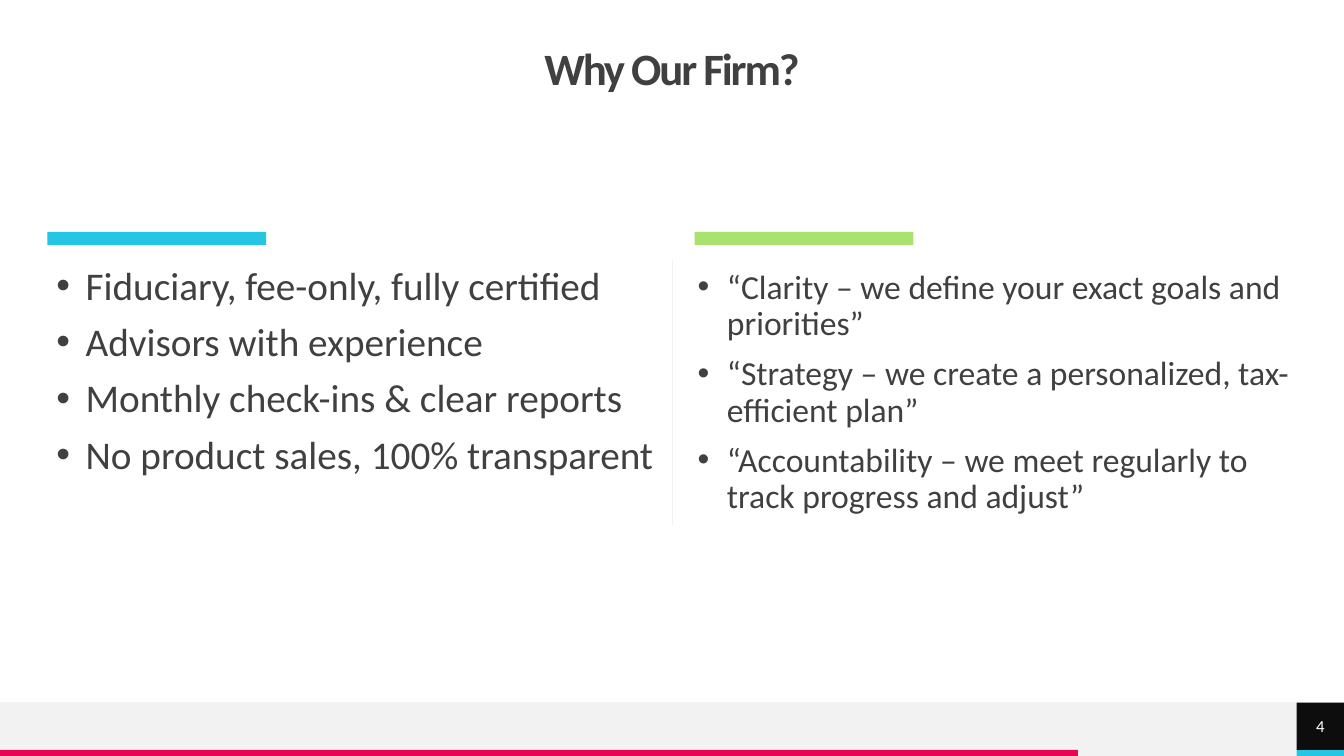
import pptx
import pptx.util
import pptx.dml.color
import pptx.enum.shapes
import pptx.enum.text
import pptx.oxml
import pptx.oxml.ns
from lxml import etree

Inches, Pt = pptx.util.Inches, pptx.util.Pt
ANCHOR, ALIGN = pptx.enum.text.MSO_ANCHOR, pptx.enum.text.PP_ALIGN

W, H = 13.33, 7.5
MARGIN = 0.47
STRIPE = 0.06
TAB_W = 2.17
FOOT_TOP = H - MARGIN - STRIPE
PINK_W = W - MARGIN - TAB_W
FONT = "Calibri"
COLORS = {"text": "404040", "white": "FFFFFF", "black": "0D0D0D", "grey": "F2F2F2",
          "pink": "E80554", "blue": "25C6E3", "green": "A9E26F"}

REASONS = ["Fiduciary, fee-only, fully certified",
           "Advisors with experience",
           "Monthly check-ins & clear reports",
           "No product sales, 100% transparent"]
PROMISES = ["“Clarity – we define your exact goals and priorities”",
            "“Strategy – we create a personalized, tax-efficient plan”",
            "“Accountability – we meet regularly to track progress and adjust”"]


def rgb(name):
    """Return the named colour."""
    return pptx.dml.color.RGBColor.from_string(COLORS[name])


def add_block(s, x, y, w, h, color):
    """Add a plain filled rectangle."""
    sp = s.shapes.add_shape(pptx.enum.shapes.MSO_SHAPE.RECTANGLE,
                            Inches(x), Inches(y), Inches(w), Inches(h))
    sp.shadow.inherit = False
    sp.fill.solid()
    sp.fill.fore_color.rgb = rgb(color)
    sp.line.fill.background()
    return sp


def add_rule(s, x1, y1, x2, y2):
    """Add a thin grey line."""
    ln = s.shapes.add_connector(pptx.enum.shapes.MSO_CONNECTOR.STRAIGHT,
                                Inches(x1), Inches(y1), Inches(x2), Inches(y2))
    ln.line.color.rgb = rgb("grey")
    ln.line.width = Pt(0.5)
    etree.SubElement(ln._element.spPr, pptx.oxml.ns.qn("a:effectLst"))


def set_frame(sp, anchor):
    """Clear the insets and autofit of a shape's text and return its frame."""
    tf = sp.text_frame
    tf.margin_left = tf.margin_right = tf.margin_top = tf.margin_bottom = 0
    tf.word_wrap = True
    tf.auto_size = pptx.enum.text.MSO_AUTO_SIZE.NONE
    tf.vertical_anchor = anchor
    return tf


def add_run(p, text, size, color, bold=False):
    """Add one formatted run to a paragraph."""
    r = p.add_run()
    r.text = text
    r.font.name = FONT
    r.font.size = Pt(size)
    r.font.bold = bold
    r.font.color.rgb = rgb(color)
    return r


def move(sp, x, y, w, h):
    """Place a shape in the given box."""
    sp.left, sp.top, sp.width, sp.height = (Inches(v) for v in (x, y, w, h))


def fill_title(sp, x, y, w, h, text):
    """Fill the title placeholder."""
    move(sp, x, y, w, h)
    p = set_frame(sp, ANCHOR.MIDDLE).paragraphs[0]
    p.alignment = ALIGN.CENTER
    p.line_spacing = 0.9
    r = add_run(p, text, 32, "text", True)
    r._r.get_or_add_rPr().set("spc", "-150")


def fill_list(sp, x, y, w, h, items, size):
    """Fill a body placeholder with a bulleted list."""
    move(sp, x, y, w, h)
    tf = set_frame(sp, ANCHOR.TOP)
    for i, item in enumerate(items):
        p = tf.add_paragraph() if i else tf.paragraphs[0]
        p.line_spacing = 0.9
        p.space_before = Pt(10)
        pPr = p._p.get_or_add_pPr()
        pPr.set("marL", str(Inches(0.29)))
        pPr.set("indent", str(-Inches(0.29)))
        etree.SubElement(pPr, pptx.oxml.ns.qn("a:buFont")).set("typeface", "Arial")
        etree.SubElement(pPr, pptx.oxml.ns.qn("a:buChar")).set("char", "•")
        add_run(p, item, size, "text")


def add_footer(s, y, number):
    """Add the footer band, its coloured stripes and the page number."""
    edge = W - MARGIN
    add_block(s, 0, y, PINK_W, MARGIN, "grey")
    add_block(s, PINK_W, y, TAB_W, MARGIN + STRIPE, "grey")
    add_block(s, 0, y + MARGIN, PINK_W, STRIPE, "pink")
    add_block(s, edge, y + MARGIN, MARGIN, STRIPE, "blue")
    add_rule(s, W, y, 0, y)
    sp = add_block(s, edge, y, MARGIN, MARGIN, "black")
    p = set_frame(sp, ANCHOR.MIDDLE).paragraphs[0]
    p.alignment = ALIGN.CENTER
    add_run(p, number, 12, "white")


def add_two_lists(prs):
    """Add the slide with a title and two lists side by side."""
    s = prs.slides.add_slide(prs.slide_layouts[3])
    title, left, right = s.placeholders
    fill_title(title, MARGIN, MARGIN, W - 2 * MARGIN, 0.47, "Why Our Firm?")
    for x, color in ((MARGIN, "blue"), (6.89, "green")):
        add_block(s, x, 2.3, TAB_W, 0.13, color)
    fill_list(left, 0.56, 2.64, 5.98, 2.4, REASONS, 28)
    fill_list(right, 6.92, 2.68, 5.98, 2.4, PROMISES, 24)
    add_rule(s, W / 2, 2.58, W / 2, 5.22)
    add_footer(s, FOOT_TOP, "4")


def main():
    """Build and save the deck."""
    prs = pptx.Presentation()
    prs.slide_width, prs.slide_height = Inches(W), Inches(H)
    add_two_lists(prs)
    prs.save("out.pptx")


if __name__ == "__main__":
    main()
